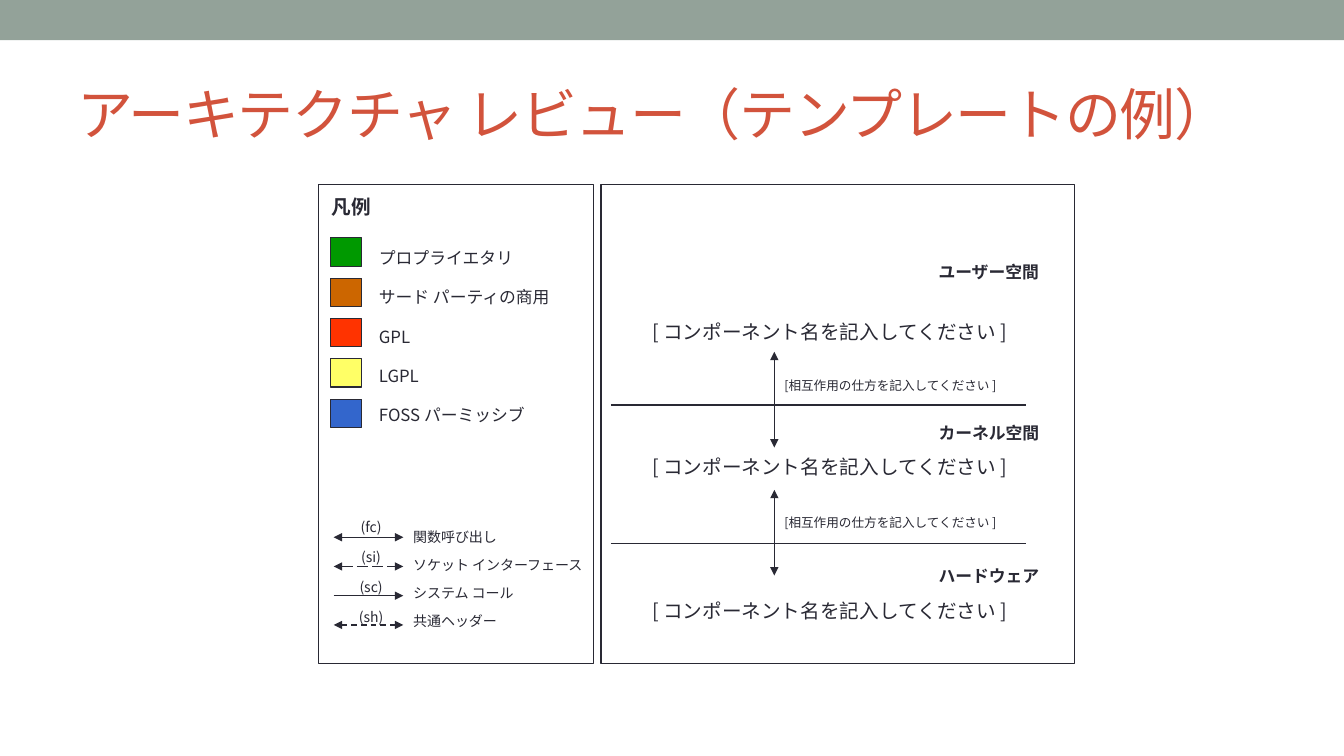
from lxml import etree
from pptx import Presentation
from pptx.dml.color import RGBColor
from pptx.enum.dml import MSO_LINE
from pptx.enum.shapes import MSO_CONNECTOR, MSO_SHAPE
from pptx.enum.text import MSO_ANCHOR, MSO_AUTO_SIZE, PP_ALIGN
from pptx.oxml.ns import qn
from pptx.util import Pt

PX = 9144
FONT = "Noto Sans CJK JP"
RECT = MSO_SHAPE.RECTANGLE
STRAIGHT = MSO_CONNECTOR.STRAIGHT
LEFT = PP_ALIGN.LEFT
CENTER = PP_ALIGN.CENTER
MIDDLE = MSO_ANCHOR.MIDDLE
FIXED = MSO_AUTO_SIZE.NONE
GROW = MSO_AUTO_SIZE.SHAPE_TO_FIT_TEXT
LONG = MSO_LINE.LONG_DASH
DASH = MSO_LINE.DASH
COLORS = {
    "band": "93A299",
    "title": "D2533C",
    "ink": "292934",
    "green": "009900",
    "brown": "CC6600",
    "red": "FF3300",
    "yellow": "FFFF66",
    "blue": "3366CC",
}


class Sheet:
    def __init__(self, slide):
        self.slide = slide
        self.shapes = slide.shapes

    def color(self, name):
        return RGBColor.from_string(COLORS[name])

    def style(self, para, size, color="ink", bold=False, align=LEFT):
        para.alignment = align
        font = para.font
        font.size = Pt(size)
        font.bold = bold
        font.color.rgb = self.color(color)
        font.name = FONT
        props = para._p.pPr.find(qn("a:defRPr"))
        etree.SubElement(props, qn("a:ea")).set("typeface", FONT)
        return props

    def title(self, text, x, y, w, h):
        box = self.shapes.title
        box.left, box.top, box.width, box.height = [v * PX for v in (x, y, w, h)]
        frame = box.text_frame
        frame.text = text
        frame.auto_size = FIXED
        frame.vertical_anchor = MIDDLE
        self.style(frame.paragraphs[0], 40, "title").set("spc", "-100")

    def text(self, text, x, y, w, h, size, bold=False, align=LEFT, wrap=False):
        box = self.shapes.add_textbox(x * PX, y * PX, w * PX, h * PX)
        frame = box.text_frame
        frame.text = text
        frame.word_wrap = wrap
        frame.auto_size = GROW
        self.style(frame.paragraphs[0], size, bold=bold, align=align)

    def rect(self, x, y, w, h, fill=None, line=None):
        box = self.shapes.add_shape(RECT, x * PX, y * PX, w * PX, h * PX)
        box.shadow.inherit = False
        if fill:
            box.fill.solid()
            box.fill.fore_color.rgb = self.color(fill)
        else:
            box.fill.background()
        if line:
            box.line.color.rgb = self.color("ink")
            box.line.width = Pt(line)
        else:
            box.line.fill.background()

    def line(self, x1, y1, x2, y2, width=1, dash=None, ends=()):
        link = self.shapes.add_connector(STRAIGHT, x1 * PX, y1 * PX, x2 * PX, y2 * PX)
        link.line.color.rgb = self.color("ink")
        link.line.width = Pt(width)
        if dash:
            link.line.dash_style = dash
        stroke = link.line._get_or_add_ln()
        for end in ends:
            etree.SubElement(stroke, qn("a:" + end)).set("type", "triangle")
        etree.SubElement(link._element.spPr, qn("a:effectLst"))


BOTH = ("headEnd", "tailEnd")
KINDS = [
    ("プロプライエタリ", "green", 155),
    ("サード パーティの商用", "brown", 197),
    ("GPL", "red", 52),
    ("LGPL", "yellow", 61),
    ("FOSS パーミッシブ", "blue", 171),
]
CALLS = [
    ("(fc)", "関数呼び出し", 104, None, BOTH),
    ("(si)", "ソケット インターフェース", 196, LONG, BOTH),
    ("(sc)", "システム コール", 125, None, ("tailEnd",)),
    ("(sh)", "共通ヘッダー", 104, DASH, BOTH),
]
LAYERS = [("ユーザー空間", 255, 312), ("カーネル空間", 414, 446), ("ハードウェア", 556, 589)]
LINKS = [(402, 349, 444, 370), (539, 486, 571, 506)]


def legend(sheet):
    sheet.rect(316, 183, 273, 475, line=1)
    sheet.text("凡例", 319, 188, 59, 34, 14, bold=True)
    for i, (name, fill, w) in enumerate(KINDS):
        sheet.rect(328, 236 + 40 * i, 31, 28, fill, 0.75)
        sheet.text(name, 366, 241 + 39 * i, w, 30, 12)
    for i, (tag, name, w, dash, ends) in enumerate(CALLS):
        y = 533 + 29 * i
        sheet.line(331, y, 400, y, dash=dash, ends=ends)
        sheet.text(tag, 344, 509 + 30 * i, 48, 27, 10, align=CENTER)
        sheet.text(name, 400, 519 + 28 * i, w, 27, 10)


def diagram(sheet):
    sheet.rect(596, 183, 470, 475, line=1)
    for name, top, part in LAYERS:
        sheet.text(name, 921, top, 121, 30, 12, bold=True)
        sheet.text("[ コンポーネント名を記入してください ]", 637, part, 393, 34, 14)
    for edge, start, end, note in LINKS:
        sheet.line(606, edge, 1018, edge)
        sheet.line(768, start, 768, end, 0.75, ends=BOTH)
        sheet.text("[相互作用の仕方を記入してください ]", 768, note, 249, 25, 9, wrap=True)


def main():
    deck = Presentation()
    deck.slide_width = 1333 * PX
    deck.slide_height = 750 * PX
    sheet = Sheet(deck.slides.add_slide(deck.slide_layouts[5]))
    sheet.rect(0, 0, 1333, 40, "band")
    sheet.title("アーキテクチャ レビュー（テンプレートの例）", 67, 58, 1200, 108)
    legend(sheet)
    diagram(sheet)
    deck.save("out.pptx")


if __name__ == "__main__":
    main()
